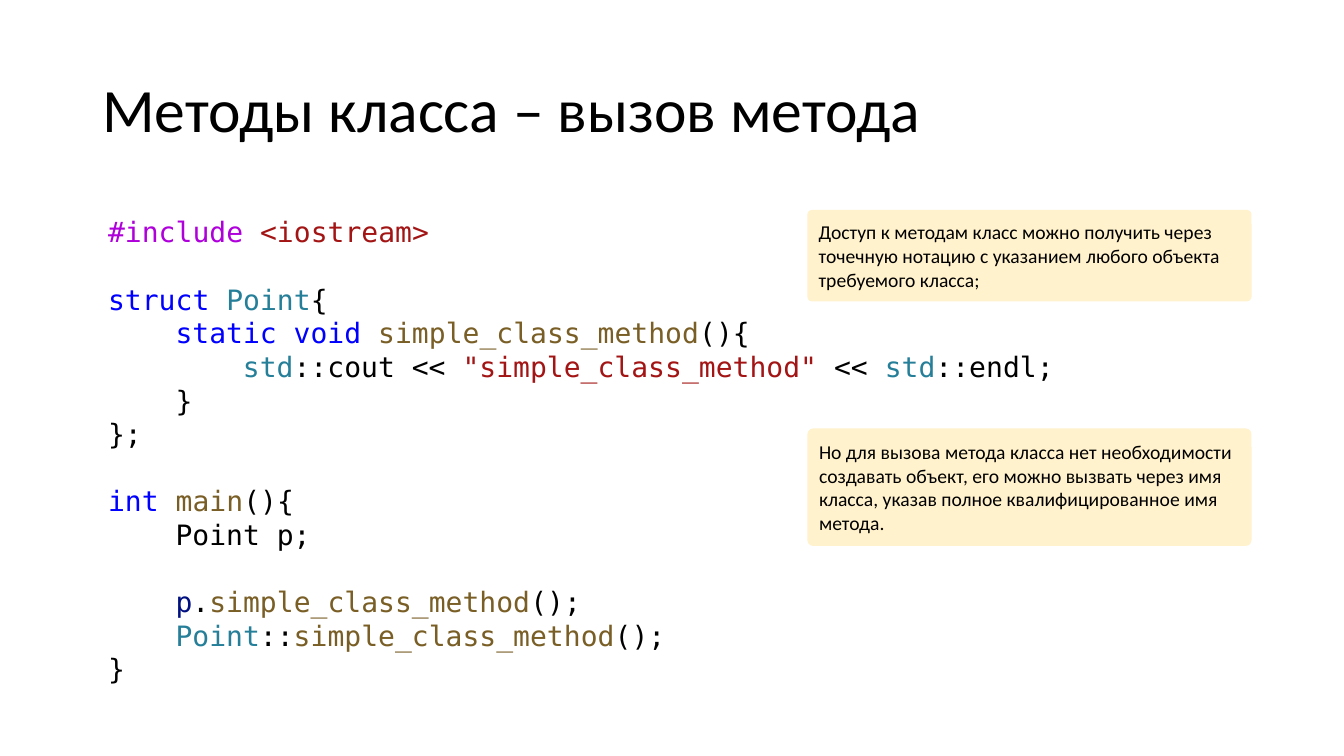
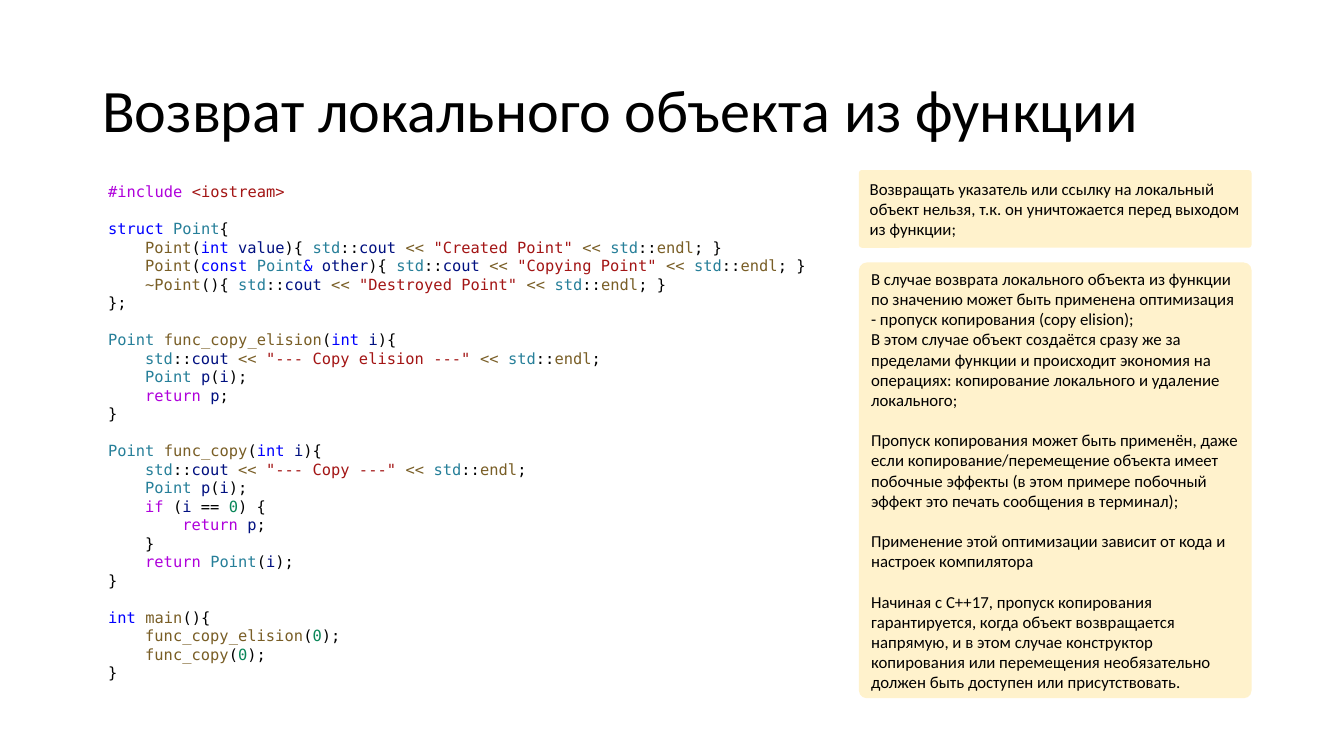
from pptx import Presentation
from pptx import util as u
from pptx.dml.color import RGBColor
from pptx.enum import shapes, text

PX = 9525
LEFT, RIGHT = 88, 1192
BODY_FONT, CODE_FONT = "Calibri", "DejaVu Sans Mono"
CHAR_WIDTH, LINE_HEIGHT = 0.602, 1.2  # as shares of the font size
NOTE_FILL = "FFF2CC"
INK = {
    "x": "000000",  # plain
    "d": "AF00DB",  # directive and control flow
    "k": "0000FF",  # keyword
    "t": "267F99",  # type
    "f": "795E26",  # function
    "v": "001080",  # variable
    "s": "A31515",  # string
    "n": "098658",  # number
}
PRINT = '|t std|x ::|v cout |f << |s "%s" |f << |t std|x ::|f endl'

CALL_CODE = """\
|d #include |s <iostream>

|k struct |t Point|x {
    |k static void |f simple_class_method|x (){
        |t std|x ::cout << |s "simple_class_method"|x  << |t std|x ::endl;
    }
};

|k int |f main|x (){
    Point p;

    |v p|x .|f simple_class_method|x ();
    |t Point|x ::|f simple_class_method|x ();
}"""

MESSAGES = ["Created Point", "Copying Point", "Destroyed Point",
            "--- Copy elision ---", "--- Copy ---"]
RETURN_CODE = """\
|d #include |s <iostream>

|k struct |t Point|x {
    |f Point|x (|k int |v value|x ){ %s|x ; }
    |f Point|x (|k const |t Point|k & |v other|x ){ %s|x ; }
    |f ~Point|x (){ %s|x ; }
};

|t Point |f func_copy_elision|x (|k int |v i|x ){
    %s|x ;
    |t Point |v p|x (|v i|x );
    |d return |v p|x ;
}

|t Point |f func_copy|x (|k int |v i|x ){
    %s|x ;
    |t Point |v p|x (|v i|x );
    |d if|x  (|v i|x  == |n 0|x ) {
        |d return |v p|x ;
    }
    |d return |t Point|x (|v i|x );
}

|k int |f main|x (){
    |f func_copy_elision|x (|n 0|x );
    |f func_copy|x (|n 0|x );
}""" % tuple(PRINT % message for message in MESSAGES)

ELISION_NOTE = """\
В случае возврата локального объекта из функции по значению может быть применена оптимизация - пропуск копирования (copy elision);
В этом случае объект создаётся сразу же за пределами функции и происходит экономия на операциях: копирование локального и удаление локального;

Пропуск копирования может быть применён, даже если копирование/перемещение объекта имеет побочные эффекты (в этом примере побочный эффект это печать сообщения в терминал);

Применение этой оптимизации зависит от кода и настроек компилятора

Начиная с C++17, пропуск копирования гарантируется, когда объект возвращается напрямую, и в этом случае конструктор копирования или перемещения необязательно должен быть доступен или присутствовать."""

# Notes: left, top, height, corner, text
SLIDES = [
    {
        "title": "Методы класса – вызов метода", "title_size": 44,
        "code": CALL_CODE, "code_size": 20, "code_top": 200, "code_height": 449,
        "note_size": 14,
        "notes": [
            (769, 200, 87, 0.05,
             "Доступ к методам класс можно получить через точечную нотацию "
             "с указанием любого объекта требуемого класса;"),
            (769, 408, 112, 0.05,
             "Но для вызова метода класса нет необходимости создавать объект, "
             "его можно вызвать через имя класса, указав полное "
             "квалифицированное имя метода."),
        ],
    },
    {
        "title": "Возврат локального объекта из функции", "title_size": 43,
        "code": RETURN_CODE, "code_size": 11, "code_top": 169, "code_height": 479,
        "note_size": 12,
        "notes": [
            (818, 162, 74, 0.04,
             "Возвращать указатель или ссылку на локальный объект нельзя, "
             "т.к. он уничтожается перед выходом из функции;"),
            (818, 250, 415, 0.02, ELISION_NOTE),
        ],
    },
]


def color(hex_string):
    return RGBColor.from_string(hex_string)


def write(frame, source, font, size, anchor, line_spacing=1.0):
    """Write one paragraph a line; "|k " starts ink k, an empty line leaves a gap."""
    frame.word_wrap = True
    frame.vertical_anchor = anchor
    paragraph, gap = None, 0
    for line in source.split("\n"):
        if not line:
            gap = size * LINE_HEIGHT
            continue
        paragraph = frame.add_paragraph() if paragraph else frame.paragraphs[0]
        paragraph.alignment = text.PP_ALIGN.LEFT
        paragraph.line_spacing = line_spacing
        paragraph.space_before = u.Pt(gap)
        gap = 0
        content = line.lstrip()
        depth = len(line) - len(content)
        if depth:
            indent = u.Pt(depth * CHAR_WIDTH * size)
            paragraph._p.get_or_add_pPr().set("marL", str(int(indent)))
        plain, *inked = content.split("|")
        for ink, words in [("x", plain)] + [(part[0], part[2:]) for part in inked]:
            if words:
                run = paragraph.add_run()
                run.text = words
                run.font.name = font
                run.font.size = u.Pt(size)
                run.font.color.rgb = color(INK[ink])


deck = Presentation()
deck.slide_width, deck.slide_height = 1280 * PX, 720 * PX

for page in SLIDES:
    slide = deck.slides.add_slide(deck.slide_layouts[6])

    title = slide.shapes.add_textbox(LEFT * PX, 38 * PX, (RIGHT - LEFT) * PX, 139 * PX)
    write(title.text_frame, page["title"], BODY_FONT, page["title_size"],
          text.MSO_ANCHOR.MIDDLE, 0.9)

    code = slide.shapes.add_textbox(LEFT * PX, page["code_top"] * PX,
                                    (RIGHT - LEFT) * PX, page["code_height"] * PX)
    code.text_frame.margin_left = 15 * PX
    write(code.text_frame, page["code"], CODE_FONT, page["code_size"],
          text.MSO_ANCHOR.TOP)

    for left, top, height, corner, words in page["notes"]:
        note = slide.shapes.add_shape(shapes.MSO_SHAPE.ROUNDED_RECTANGLE, left * PX,
                                      top * PX, (RIGHT - left) * PX, height * PX)
        note.adjustments[0] = corner
        note.shadow.inherit = False
        note.fill.solid()
        note.fill.fore_color.rgb = color(NOTE_FILL)
        note.line.fill.background()
        write(note.text_frame, words, BODY_FONT, page["note_size"],
              text.MSO_ANCHOR.MIDDLE)

deck.save("out.pptx")
